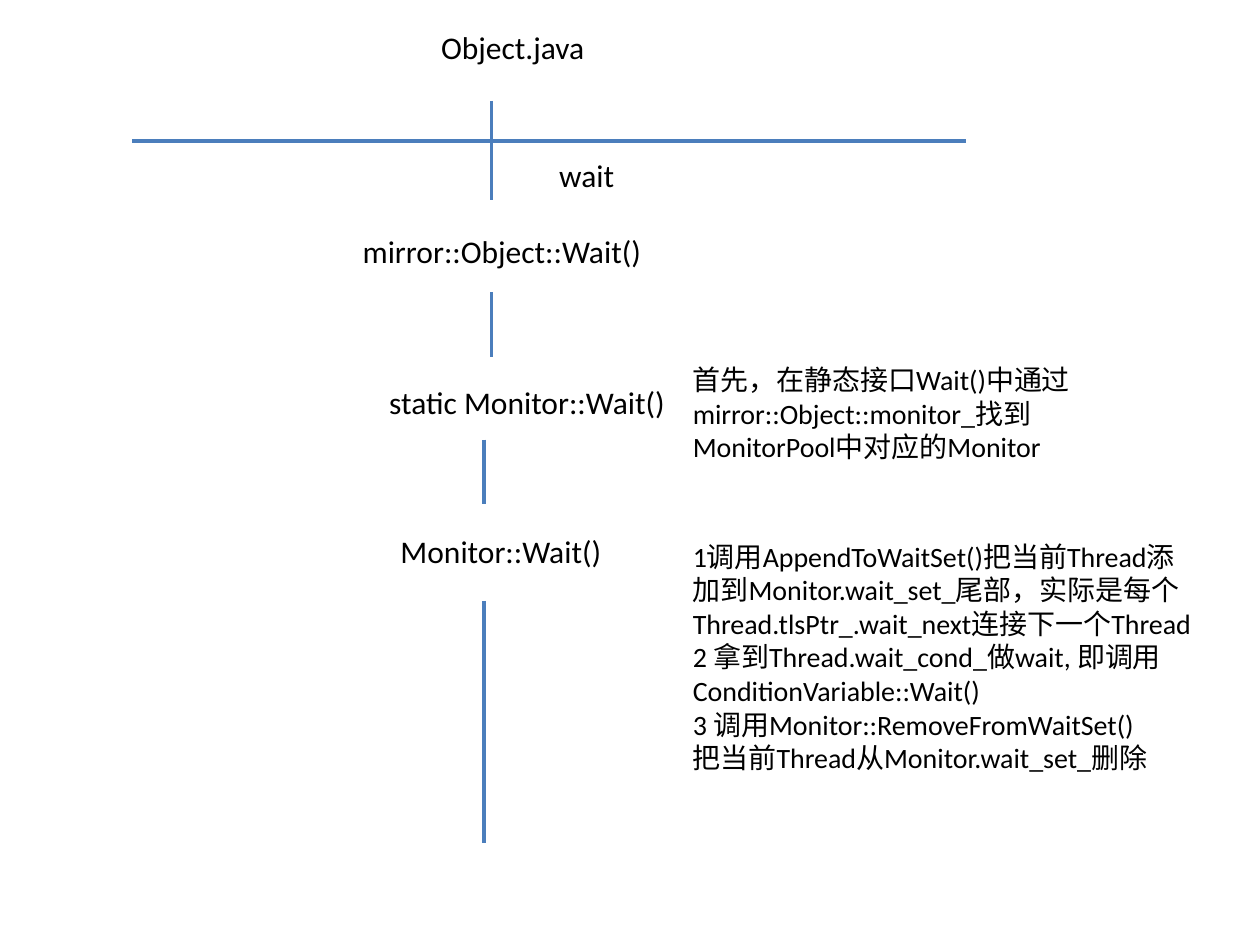
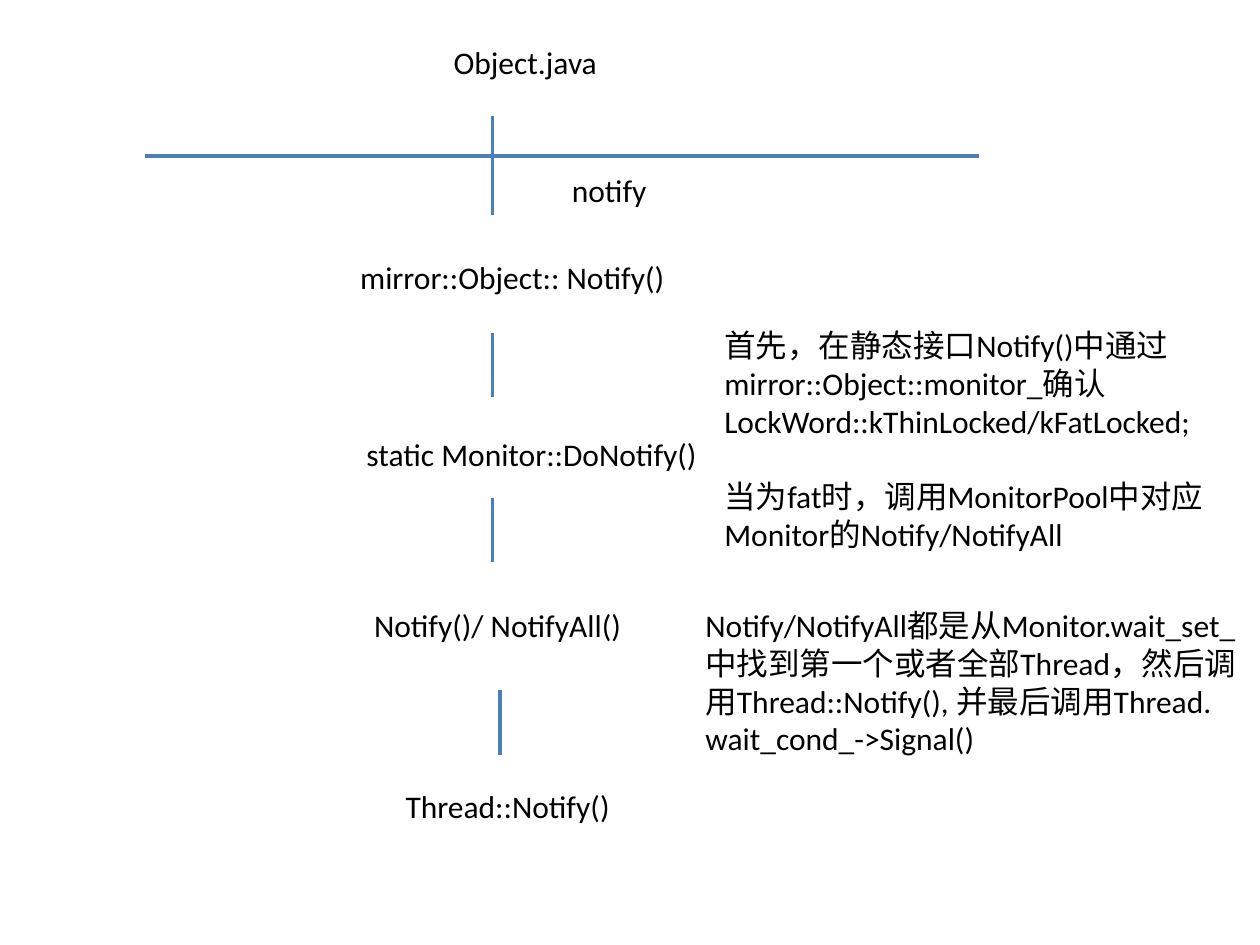
import pptx
import pptx.util
import pptx.dml.color
import pptx.enum.shapes
import pptx.enum.text
import pptx.oxml.ns
import lxml.etree

WIDTH, HEIGHT = 10, 7.5
FONT, INK, BLUE = "Calibri", "000000", "4B7EBC"
LABEL_H, STUB, AXIS_W, CROSS_H = 0.4, 0.51, 6.62, 0.79

SLIDES = [
    {
        "title": "Object.java", "method": ("wait", 0.64),
        "axis": (1.05, 1.12), "cross": 3.9,
        "calls": [
            ("mirror::Object::Wait()", 2.78, 1.79, 2.42),
            ("static Monitor::Wait()", 2.99, 2.99, 2.41),
            ("Monitor::Wait()", 3.08, 4.17, 1.81),
        ],
        "links": [(3.9, 2.32, STUB), (3.84, 3.49, STUB), (3.84, 4.77, 1.92)],
        "notes": [
            (["首先，在静态接口Wait()中通过mirror::Object::monitor_找到MonitorPool中对应的Monitor"],
             (5.4, 2.83, 3.19, 0.91), {"size": 16}),
            (["1调用AppendToWaitSet()把当前Thread添加到Monitor.wait_set_尾部，实际是每个Thread.tlsPtr_.wait_next连接下一个Thread",
              "2 拿到Thread.wait_cond_做wait, 即调用",
              "ConditionVariable::Wait()",
              "3 调用Monitor::RemoveFromWaitSet()",
              "把当前Thread从Monitor.wait_set_删除"],
             (5.4, 4.23, 4.19, 1.98), {"size": 16}),
        ],
    },
    {
        "title": "Object.java", "method": ("notify", 0.79),
        "axis": (1.15, 1.24), "cross": 3.91,
        "calls": [
            ("mirror::Object:: Notify()", 2.76, 2, 2.62),
            ("static Monitor::DoNotify()", 2.81, 3.4, 2.84),
            ("Notify()/ NotifyAll()", 2.87, 4.76, 2.19),
            ("Thread::Notify()", 3.12, 6.2, 1.88),
        ],
        "links": [(3.91, 2.64, STUB), (3.91, 3.95, STUB), (3.97, 5.48, STUB)],
        "notes": [
            (["首先，在静态接口Notify()中通过mirror::Object::monitor_确认LockWord::kThinLocked/kFatLocked;",
              "当为fat时，调用MonitorPool中对应Monitor的Notify/NotifyAll"],
             (5.65, 2.54, 4, 1.92), {"gap": 21.6}),
            (["Notify/NotifyAll都是从Monitor.wait_set_",
              "中找到第一个或者全部Thread，然后调用Thread::Notify(), 并最后调用Thread.",
              "wait_cond_->Signal()"],
             (5.5, 4.76, 4.52, 1.31), {}),
        ],
    },
]


def color(hex_code):
    return pptx.dml.color.RGBColor.from_string(hex_code)


def add_text(s, paragraphs, box, size=18, wrap=True, gap=0, sp=None):
    left, top, width, height = map(pptx.util.Inches, box)
    if sp is None:
        sp = s.shapes.add_textbox(left, top, width, height)
    else:
        sp.left, sp.top, sp.width, sp.height = left, top, width, height
    tf = sp.text_frame
    tf.word_wrap = wrap
    tf.auto_size = pptx.enum.text.MSO_AUTO_SIZE.SHAPE_TO_FIT_TEXT
    tf.vertical_anchor = pptx.enum.text.MSO_ANCHOR.TOP
    for i, text in enumerate(paragraphs):
        p = tf.add_paragraph() if i else tf.paragraphs[0]
        p.alignment = pptx.enum.text.PP_ALIGN.LEFT
        p.space_before = pptx.util.Pt(gap if i else 0)
        r = p.add_run()
        r.text = text
        r.font.name = FONT
        r.font.size = pptx.util.Pt(size)
        r.font.color.rgb = color(INK)


def add_line(s, x, y, dx=0, dy=0):
    ends = map(pptx.util.Inches, (x, y, x + dx, y + dy))
    line = s.shapes.add_connector(pptx.enum.shapes.MSO_CONNECTOR.STRAIGHT, *ends)
    line.line.color.rgb = color(BLUE)
    line.line.width = pptx.util.Pt(2)
    lxml.etree.SubElement(line._element.spPr, pptx.oxml.ns.qn("a:effectLst"))


def add_header(s, data):
    x, y = data["axis"]
    method, method_w = data["method"]
    add_text(s, [data["title"]], (x + 2.35, y - 0.95, 1.35, LABEL_H),
             wrap=False, sp=s.shapes.title)
    add_line(s, x, y, dx=AXIS_W)
    add_line(s, data["cross"], y - 0.32, dy=CROSS_H)
    add_text(s, [method], (x + 3.29, y + 0.07, method_w, LABEL_H), wrap=False)


def main():
    prs = pptx.Presentation()
    prs.slide_width = pptx.util.Inches(WIDTH)
    prs.slide_height = pptx.util.Inches(HEIGHT)
    for data in SLIDES:
        s = prs.slides.add_slide(prs.slide_layouts.get_by_name("Title Only"))
        add_header(s, data)
        for call, x, y, width in data["calls"]:
            add_text(s, [call], (x, y, width, LABEL_H), wrap=False)
        for x, y, length in data["links"]:
            add_line(s, x, y, dy=length)
        for paragraphs, box, style in data["notes"]:
            add_text(s, paragraphs, box, **style)
    prs.save("out.pptx")


if __name__ == "__main__":
    main()
